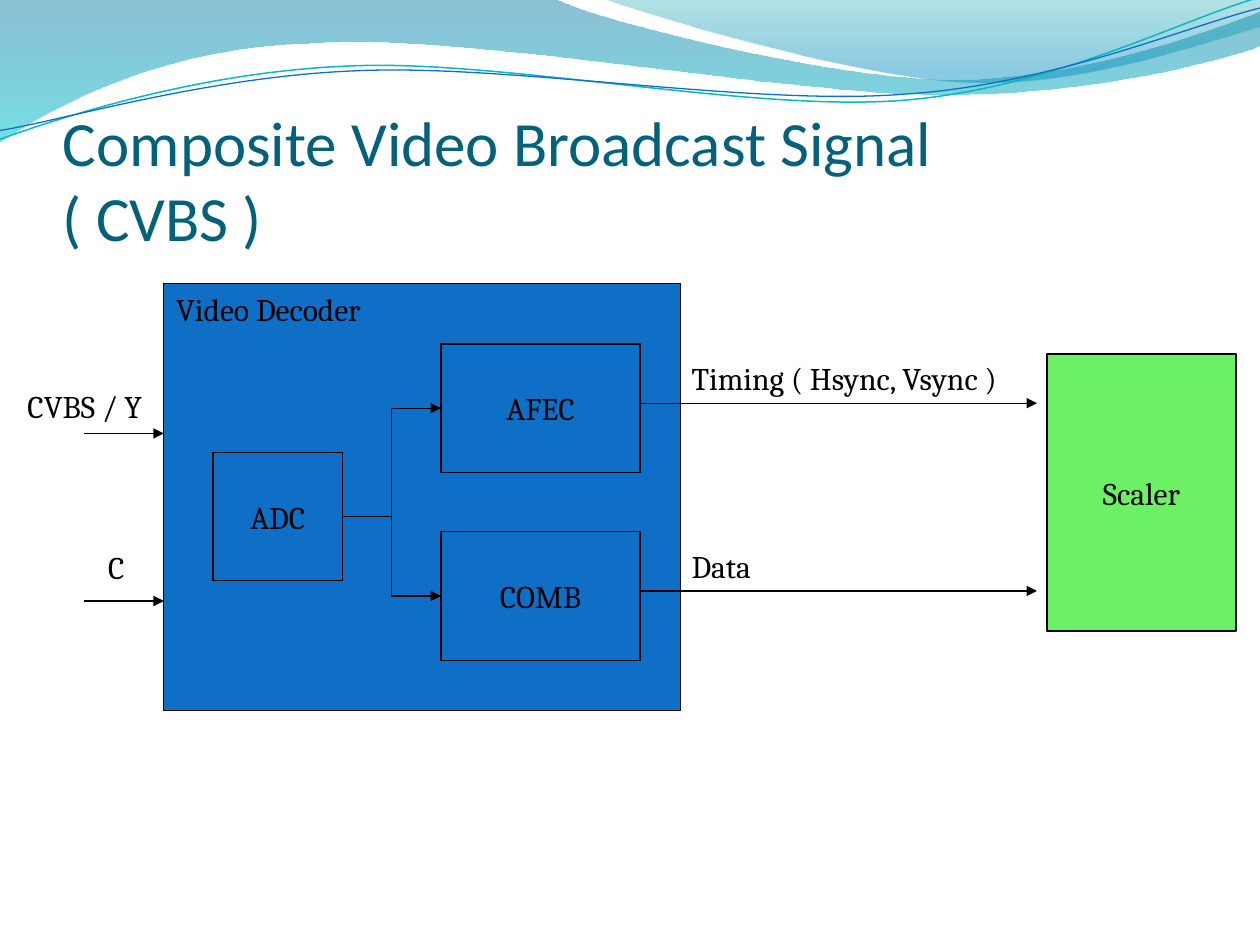
from pptx import Presentation
from pptx.dml.color import RGBColor
from pptx.enum import shapes, text
from pptx.oxml.ns import qn
from pptx.util import Inches, Pt
from lxml import etree

COLORS = {
    "black": "000000", "title": "04617B", "decoder": "0F6FC6", "scaler": "6CF165",
    "wave_top": "0074A1", "wave_bottom": "00C6CF",
    "crest_top": "00A1A9", "crest_bottom": "008BBF", "teal_line": "0AB8BF",
}


def rgb(name):
    return RGBColor.from_string(COLORS[name])


def add_outline(slide, start, *segments, close=False):
    """Each segment is one point (straight) or three points (cubic curve)."""
    builder = slide.shapes.build_freeform(*map(Inches, start))
    points = [tuple(map(Inches, point)) for seg in segments for point in seg]
    builder.add_line_segments(points, close=close)
    s = builder.convert_to_shape()
    s.shadow.inherit = False
    steps = iter(list(s._element.iter(qn("a:lnTo"))))
    for seg in segments:
        first, *others = [next(steps) for _ in seg]
        if others:
            first.tag = qn("a:cubicBezTo")
            for step in others:
                first.append(step[0])
                step.getparent().remove(step)
    return s


def fade(s, *stops):
    """Top-to-bottom gradient; a stop is (position, colour, opacity percent)."""
    s.line.fill.background()
    s.fill.gradient()
    s.fill.gradient_angle = 270
    for stop, (position, color, _) in zip(s.fill.gradient_stops, stops):
        stop.position = position
        stop.color.rgb = rgb(color)
    for node, (_, _, opacity) in zip(s._element.iter(qn("a:srgbClr")), stops):
        etree.SubElement(node, qn("a:alpha"), val=str(opacity * 1000))


def add_wave_line(slide, color, width, start, *curves):
    s = add_outline(slide, start, *curves)
    s.rotation = 357.3
    s.fill.background()
    s.line.color.rgb = rgb(color)
    s.line.width = Pt(width)


def add_waves(slide):
    wave = add_outline(
        slide, (0, 0), [(4.4, -0.01)],
        [(4.76, 0.17), (6.64, 0.63), (7.58, 0.63)],
        [(8.53, 0.63), (9.58, 0.26), (10, 0.09)], [(10.01, 0.36)],
        [(9.83, 0.44), (8.7, 0.76), (7.46, 0.75)],
        [(6.22, 0.75), (3.82, 0.28), (2.57, 0.34)],
        [(1.29, 0.36), (0.46, 0.83), (-0.01, 1.13)], [(0, 0)], close=True)
    fade(wave, (0, "wave_top", 45), (1, "wave_bottom", 55))
    crest = add_outline(
        slide, (4.79, -0.01),
        [(5.09, 0.11), (6.82, 0.62), (7.69, 0.65)],
        [(8.56, 0.69), (9.61, 0.32), (10, 0.21)], [(10, 0)], [(4.79, -0.01)],
        close=True)
    fade(crest, (0, "crest_top", 30), (0.8, "crest_bottom", 45))
    add_wave_line(
        slide, "teal_line", 0.85, (-0.02, 0.87),
        [(0.47, 0.72), (1.58, 0.41), (2.78, 0.42)],
        [(3.96, 0.42), (5.91, 0.93), (7.12, 0.9)],
        [(8.32, 0.87), (9.4, 0.36), (10, 0.22)])
    add_wave_line(
        slide, "decoder", 0.75, (-0.02, 0.8),
        [(0.46, 0.75), (1.64, 0.45), (2.83, 0.46)],
        [(4.03, 0.46), (5.96, 0.89), (7.16, 0.85)],
        [(8.35, 0.83), (9.42, 0.42), (10.02, 0.3)])


def write(s, words, size=18, font="Cambria", color="black",
          align=text.PP_ALIGN.LEFT, anchor=text.MSO_ANCHOR.TOP, wrap=False):
    tf = s.text_frame
    tf.word_wrap = wrap
    tf.vertical_anchor = anchor
    p = tf.paragraphs[0]
    p.text = words
    p.alignment = align
    for r in p.runs:
        r.font.size = Pt(size)
        r.font.name = font
        r.font.color.rgb = rgb(color)


def add_title(slide, words):
    s = slide.shapes.add_textbox(Inches(0.5), Inches(0.77), Inches(9), Inches(1.25))
    tf = s.text_frame
    tf.margin_left = tf.margin_right = tf.margin_bottom = 0
    write(s, words, 36, "Calibri", "title", anchor=text.MSO_ANCHOR.BOTTOM, wrap=True)


def add_block(slide, words, x, y, w, h, fill="decoder",
              align=text.PP_ALIGN.CENTER, anchor=text.MSO_ANCHOR.MIDDLE):
    s = slide.shapes.add_shape(shapes.MSO_SHAPE.RECTANGLE,
                               Inches(x), Inches(y), Inches(w), Inches(h))
    s.shadow.inherit = False
    s.fill.solid()
    s.fill.fore_color.rgb = rgb(fill)
    s.line.color.rgb = rgb("black")
    s.line.width = Pt(0.75)
    write(s, words, align=align, anchor=anchor)
    return s


def add_label(slide, words, x, y, w):
    s = slide.shapes.add_textbox(Inches(x), Inches(y), Inches(w), Inches(0.4))
    write(s, words)
    s.text_frame.auto_size = text.MSO_AUTO_SIZE.SHAPE_TO_FIT_TEXT


def style_arrow(c):
    c.line.color.rgb = rgb("black")
    c.line.width = Pt(0.75)
    etree.SubElement(c.line._get_or_add_ln(), qn("a:tailEnd"), type="triangle")
    etree.SubElement(c._element.spPr, qn("a:effectLst"))


def add_arrow(slide, x1, x2, y):
    style_arrow(slide.shapes.add_connector(
        shapes.MSO_CONNECTOR.STRAIGHT, Inches(x1), Inches(y), Inches(x2), Inches(y)))


def add_elbow(slide, source, target):
    """Bent arrow from the source's right side to the target's left side."""
    c = slide.shapes.add_connector(shapes.MSO_CONNECTOR.ELBOW, 0, 0, 0, 0)
    c.begin_connect(source, 3)
    c.end_connect(target, 1)
    style_arrow(c)


def main():
    prs = Presentation()
    prs.slide_width, prs.slide_height = Inches(10), Inches(7.5)
    slide = prs.slides.add_slide(prs.slide_layouts[6])

    add_waves(slide)
    add_block(slide, "Video Decoder", 1.3, 2.25, 4.1, 3.39,
              align=text.PP_ALIGN.LEFT, anchor=text.MSO_ANCHOR.TOP)
    add_title(slide, "Composite Video Broadcast Signal\v( CVBS )")

    adc = add_block(slide, "ADC", 1.69, 3.59, 1.03, 1.02)
    for y in (3.44, 4.77):
        add_arrow(slide, 0.67, 1.3, y)
    add_label(slide, "CVBS / Y", 0.12, 3.02, 1.26)
    add_label(slide, "C", 0.76, 4.3, 0.38)

    for words, y in (("COMB", 4.22), ("AFEC", 2.73)):
        add_elbow(slide, adc, add_block(slide, words, 3.5, y, 1.58, 1.02))

    for y in (4.69, 3.2):
        add_arrow(slide, 5.08, 8.23, y)
    add_label(slide, "Timing ( Hsync, Vsync )", 5.39, 2.8, 2.84)
    add_label(slide, "Data", 5.39, 4.29, 0.8)
    add_block(slide, "Scaler", 8.31, 2.81, 1.5, 2.2, "scaler")

    prs.save("out.pptx")


if __name__ == "__main__":
    main()
